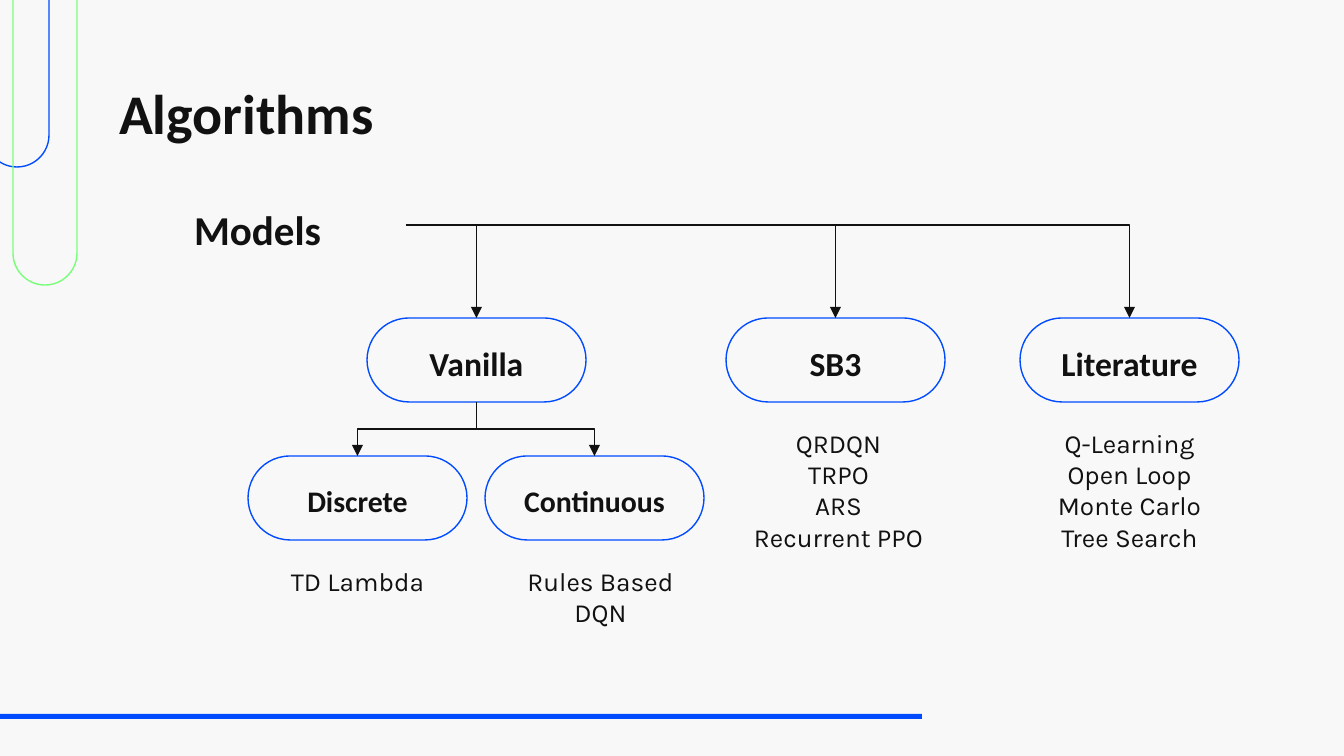
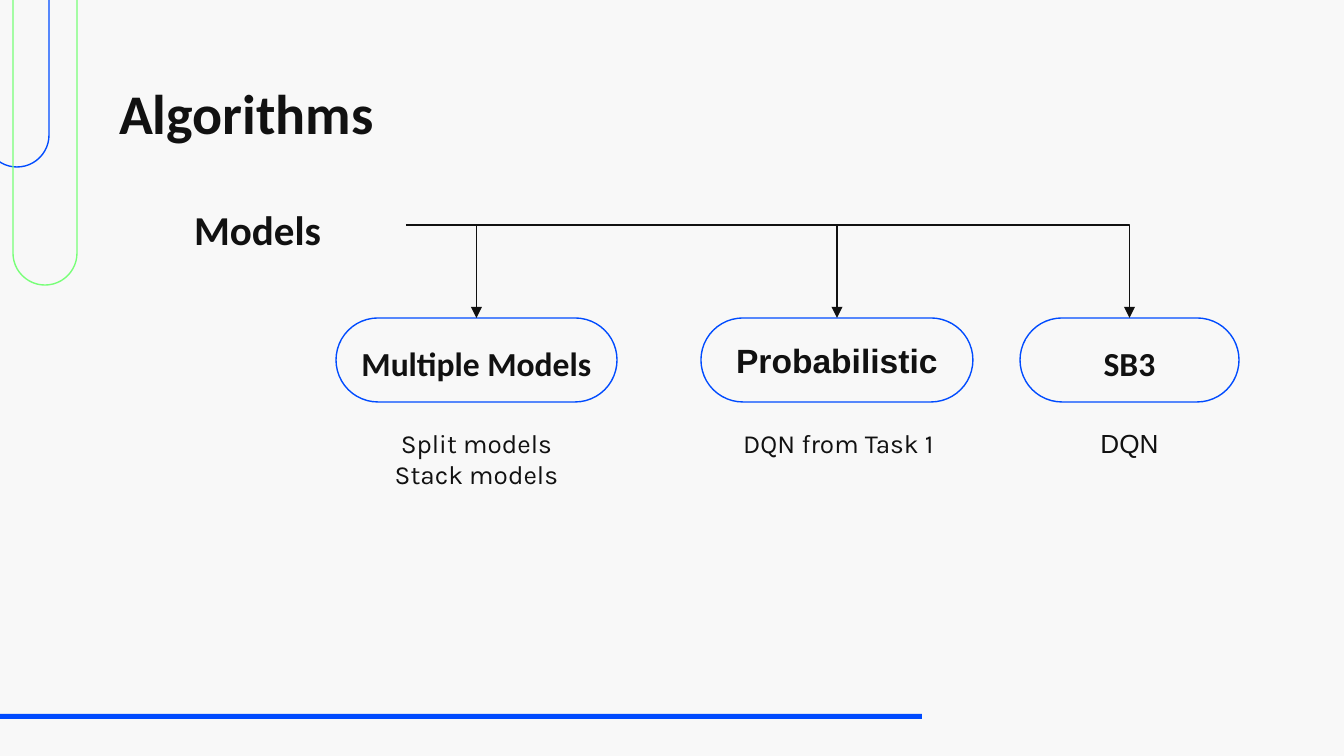
from dataclasses import dataclass

from lxml.etree import SubElement
from pptx import Presentation
from pptx.dml.color import RGBColor
from pptx.enum.shapes import MSO_CONNECTOR, MSO_SHAPE
from pptx.enum.text import MSO_ANCHOR, MSO_AUTO_SIZE, PP_ALIGN
from pptx.oxml.ns import qn
from pptx.util import Emu, Pt


@dataclass(frozen=True)
class Theme:
    background: RGBColor = RGBColor.from_string("F8F8F8")
    ink: RGBColor = RGBColor.from_string("111111")
    blue: RGBColor = RGBColor.from_string("004BFF")
    green: RGBColor = RGBColor.from_string("78FF78")
    heading: str = "Calibri"
    body: str = "Karla"
    plain: str = "Arial"
    title_size: int = 30
    root_size: int = 22
    node_size: int = 18
    child_size: int = 16
    list_size: int = 14
    line_width: float = 0.75
    spacing: float = 1.15


@dataclass(frozen=True)
class Node:
    label: str
    left: int
    items: tuple = ()
    width: int = 219
    list_left: int = 0
    list_width: int = 219
    label_font: str = Theme.heading
    list_font: str = Theme.body
    spacing: float = Theme.spacing
    children: tuple = ()


TITLE, ROOT = "Algorithms", "Models"
SLIDES = [
    [
        Node("Vanilla", 367, children=(
            Node("Discrete", 248, ("TD Lambda",)),
            Node("Continuous", 485, ("Rules Based", "DQN"), list_left=491),
        )),
        Node("SB3", 726, ("QRDQN", "TRPO", "ARS", "Recurrent PPO"), list_left=729),
        Node("Literature", 1020, ("Q-Learning Open Loop Monte Carlo Tree Search",)),
    ],
    [
        Node("Multiple Models", 336, ("Split models", "Stack models"), width=281, list_left=367),
        Node("Probabilistic", 701, ("DQN from Task 1",), width=272, list_left=719,
             list_width=239, label_font=Theme.plain, spacing=1.0),
        Node("SB3", 1020, ("DQN",), list_font=Theme.plain),
    ],
]

SLIDE_SIZE = (1344, 756)
TITLE_BOX = (106, 66, 1133, 85)
ROOT_BOX = (109, 188, 297, 74)
FOOTER_BAR = (0, 714, 922, 5)
LOOPS = [((-15, -212, 64, 379), Theme.blue), ((13, -94, 64, 379), Theme.green)]
INSET = 13
NODE_TOP, CHILD_TOP, NODE_HEIGHT = 318, 456, 84
LIST_DROP, LIST_HEIGHT = 96, 126
TOP, BOTTOM, RIGHT = 0, 2, 3


def px(length):
    return Emu(round(length * 914400 / 134.4))


def box(*lengths):
    return [px(length) for length in lengths]


def write(shape, lines, size, font, bold=False, align=PP_ALIGN.CENTER,
          anchor=MSO_ANCHOR.MIDDLE, spacing=1.0):
    frame = shape.text_frame
    frame.text = "\n".join(lines)
    frame.word_wrap = True
    frame.auto_size = MSO_AUTO_SIZE.NONE
    frame.vertical_anchor = anchor
    frame.margin_left = frame.margin_right = px(INSET)
    frame.margin_top = frame.margin_bottom = px(INSET)
    for paragraph in frame.paragraphs:
        paragraph.alignment = align
        paragraph.line_spacing = spacing
        paragraph.font.name = font
        paragraph.font.size = Pt(size)
        paragraph.font.bold = bold
        paragraph.font.color.rgb = Theme.ink


def add_pill(slide, place, color):
    shape = slide.shapes.add_shape(MSO_SHAPE.ROUNDED_RECTANGLE, *box(*place))
    shape.adjustments[0] = 0.5
    shape.shadow.inherit = False
    shape.fill.background()
    shape.line.color.rgb = color
    shape.line.width = Pt(Theme.line_width)
    return shape


def add_arrow(slide, start, start_site, end):
    arrow = slide.shapes.add_connector(MSO_CONNECTOR.ELBOW, 0, 0, 0, 0)
    arrow.begin_connect(start, start_site)
    arrow.end_connect(end, TOP)
    arrow.line.color.rgb = Theme.ink
    arrow.line.width = Pt(Theme.line_width)
    properties = arrow.element.spPr
    SubElement(properties.find(qn("a:ln")), qn("a:tailEnd"), type="triangle")
    SubElement(properties, qn("a:effectLst"))
    if start_site == RIGHT:
        properties.find(qn("a:prstGeom")).set("prst", "bentConnector2")
    else:
        turn_downward(arrow)


def turn_downward(arrow):
    rightward = arrow.end_x > arrow.begin_x
    center_x = (arrow.begin_x + arrow.end_x) // 2
    center_y = (arrow.begin_y + arrow.end_y) // 2
    run, drop = arrow.width, arrow.height
    arrow.left, arrow.top = center_x - drop // 2, center_y - run // 2
    arrow.width, arrow.height = drop, run
    transform = arrow.element.spPr.find(qn("a:xfrm"))
    transform.set("rot", str((270 if rightward else 90) * 60000))
    transform.set("flipH", "1" if rightward else "0")


def add_node(slide, node, top, size, parent, parent_site):
    pill = add_pill(slide, (node.left, top, node.width, NODE_HEIGHT), Theme.blue)
    write(pill, [node.label], size, node.label_font, bold=True, spacing=node.spacing)
    add_arrow(slide, parent, parent_site, pill)
    if node.items:
        place = (node.list_left or node.left, top + LIST_DROP, node.list_width, LIST_HEIGHT)
        write(slide.shapes.add_textbox(*box(*place)), node.items, Theme.list_size,
              node.list_font, anchor=MSO_ANCHOR.TOP)
    for child in node.children:
        add_node(slide, child, CHILD_TOP, Theme.child_size, pill, BOTTOM)


def decorate_layout(layout, slide):
    for placeholder in list(layout.placeholders)[1:]:
        layout.shapes.element.remove(placeholder.element)
    bar = slide.shapes.add_shape(MSO_SHAPE.RECTANGLE, *box(*FOOTER_BAR))
    bar.shadow.inherit = False
    bar.fill.solid()
    bar.fill.fore_color.rgb = Theme.blue
    bar.line.fill.background()
    for shape in [bar] + [add_pill(slide, place, color) for place, color in LOOPS]:
        layout.shapes.element.append(shape.element)


def add_tree(slide, nodes):
    title = slide.shapes.title
    title.left, title.top, title.width, title.height = box(*TITLE_BOX)
    write(title, [TITLE], Theme.title_size, Theme.heading, bold=True,
          align=PP_ALIGN.LEFT, anchor=MSO_ANCHOR.TOP)
    root = slide.shapes.add_textbox(*box(*ROOT_BOX))
    write(root, [ROOT], Theme.root_size, Theme.heading, bold=True, spacing=Theme.spacing)
    for node in nodes:
        add_node(slide, node, NODE_TOP, Theme.node_size, root, RIGHT)


def main():
    presentation = Presentation()
    presentation.slide_width, presentation.slide_height = box(*SLIDE_SIZE)
    background = presentation.slide_master.background.fill
    background.solid()
    background.fore_color.rgb = Theme.background
    layout = presentation.slide_layouts.get_by_name("Title Only")
    slides = [presentation.slides.add_slide(layout) for _ in SLIDES]
    decorate_layout(layout, slides[0])
    for slide, nodes in zip(slides, SLIDES):
        add_tree(slide, nodes)
    presentation.save("out.pptx")


if __name__ == "__main__":
    main()
